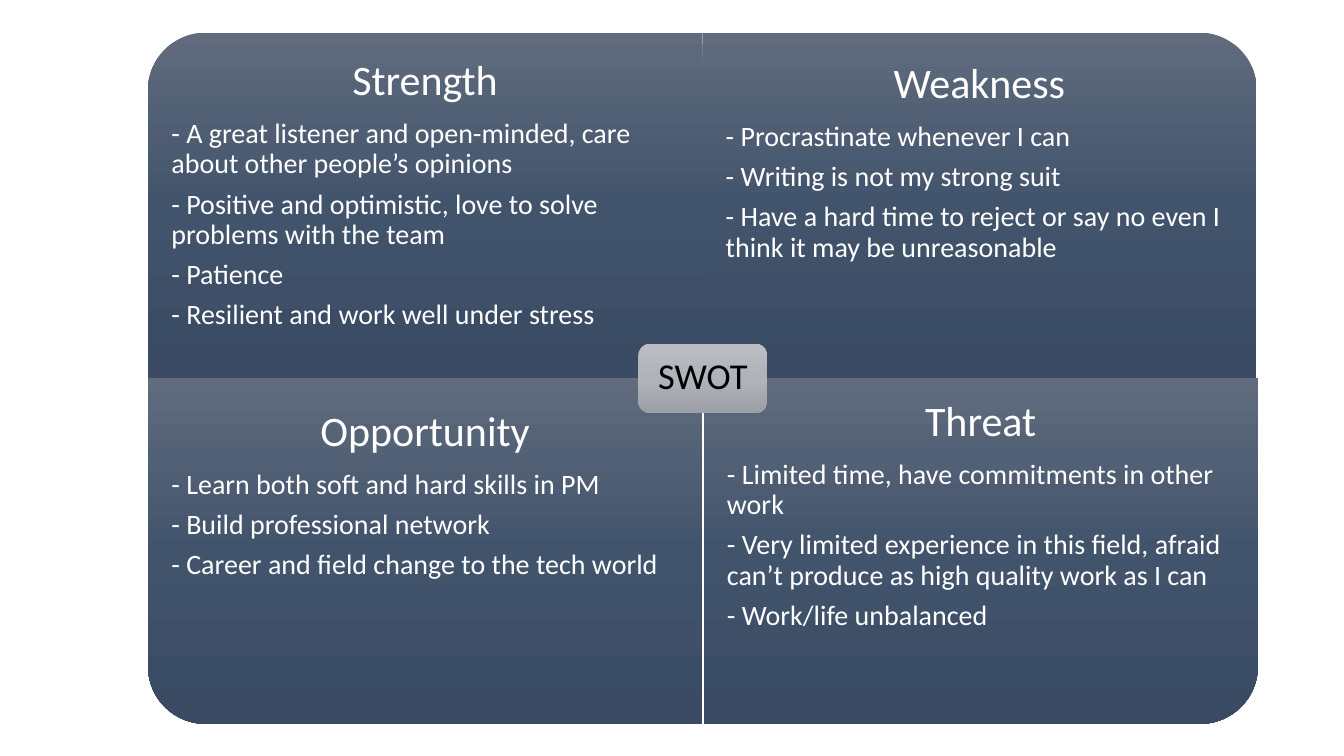
from lxml import etree
from pptx import Presentation
from pptx.dml.color import RGBColor
from pptx.enum.shapes import MSO_SHAPE
from pptx.enum.text import MSO_ANCHOR, PP_ALIGN
from pptx.oxml import parse_xml
from pptx.util import Cm, Pt

ROUND_ONE = MSO_SHAPE.ROUND_1_RECTANGLE
ROUND_ALL = MSO_SHAPE.ROUNDED_RECTANGLE
CENTER, LEFT = PP_ALIGN.CENTER, PP_ALIGN.LEFT
TOP, MIDDLE = MSO_ANCHOR.TOP, MSO_ANCHOR.MIDDLE
WHITE = RGBColor(0xFF, 0xFF, 0xFF)
BLACK = RGBColor(0, 0, 0)
NAVY = [RGBColor(0x60, 0x6B, 0x7D), RGBColor(0x42, 0x54, 0x6C), RGBColor(0x39, 0x4A, 0x62)]
SILVER = [RGBColor(0xBA, 0xBD, 0xC2), RGBColor(0xB0, 0xB3, 0xBA), RGBColor(0x9C, 0x9F, 0xA6)]
DRAWING = "http://schemas.openxmlformats.org/drawingml/2006/main"

PANEL_W, PANEL_H = 13.97, 8.71
GRID_LEFT, GRID_TOP = 3.73, 0.82
MID_X, MID_Y = GRID_LEFT + PANEL_W, GRID_TOP + PANEL_H
SEAM = 0.03
BADGE_W, BADGE_H = 3.25, 1.74

QUADRANTS = [
    ("Strength", GRID_LEFT, GRID_TOP, 270, 1.5, [
        "- A great listener and open-minded, care about other people’s opinions",
        "- Positive and optimistic, love to solve problems with the team",
        "- Patience",
        "- Resilient and work well under stress"]),
    ("Weakness", MID_X, GRID_TOP, 0, 1.58, [
        "- Procrastinate whenever I can",
        "- Writing is not my strong suit",
        "- Have a hard time to reject or say no even I think it may be unreasonable"]),
    ("Opportunity", GRID_LEFT, MID_Y, 180, 10.34, [
        "- Learn both soft and hard skills in PM",
        "- Build professional network",
        "- Career and field change to the tech world"]),
    ("Threat", MID_X + SEAM, MID_Y, 90, 10.09, [
        "- Limited time, have commitments in other work",
        "- Very limited experience in this field, afraid can’t produce as high quality work as I can",
        "- Work/life unbalanced"]),
]


def add_gradient_shape(preset, center_x, center_y, width, height, colors):
    shape = slide.shapes.add_shape(preset, Cm(center_x - width / 2), Cm(center_y - height / 2),
                                   Cm(width), Cm(height))
    shape.shadow.inherit = False
    shape.line.fill.background()
    shape.fill.solid()
    gradient = parse_xml(f'<a:gradFill xmlns:a="{DRAWING}" rotWithShape="0"><a:gsLst/>'
                         '<a:lin ang="5400000" scaled="0"/></a:gradFill>')
    for position, color in zip((0, 50000, 100000), colors):
        stop = etree.SubElement(gradient[0], f"{{{DRAWING}}}gs", pos=str(position))
        etree.SubElement(stop, f"{{{DRAWING}}}srgbClr", val=str(color))
    solid = shape._element.spPr.find(f"{{{DRAWING}}}solidFill")
    solid.getparent().replace(solid, gradient)
    return shape


def write_text(frame, lines, anchor, inset_x):
    frame.word_wrap = True
    frame.vertical_anchor = anchor
    frame.margin_left = frame.margin_right = Cm(inset_x)
    frame.margin_top = frame.margin_bottom = 0
    for index, (text, size, color, align) in enumerate(lines):
        paragraph = frame.add_paragraph() if index else frame.paragraphs[0]
        paragraph.alignment = align
        paragraph.line_spacing = 0.9
        paragraph.space_after = Pt(size * 0.35)
        run = paragraph.add_run()
        run.text = text
        run.font.name = "Calibri"
        run.font.size = Pt(size)
        run.font.color.rgb = color


prs = Presentation()
prs.slide_width, prs.slide_height = Cm(33.87), Cm(19.05)
slide = prs.slides.add_slide(prs.slide_layouts[6])

for heading, left, top, rotation, text_top, points in QUADRANTS:
    width, height = (PANEL_H, PANEL_W) if rotation in (90, 270) else (PANEL_W, PANEL_H)
    panel = add_gradient_shape(ROUND_ONE, left + PANEL_W / 2, top + PANEL_H / 2, width, height, NAVY)
    panel.rotation = rotation
    content = slide.shapes.add_textbox(Cm(left), Cm(text_top), Cm(PANEL_W), Cm(6.8))
    lines = [(heading, 30, WHITE, CENTER)] + [(point, 20, WHITE, LEFT) for point in points]
    write_text(content.text_frame, lines, TOP, 0.59)

badge = add_gradient_shape(ROUND_ALL, MID_X + SEAM / 2, MID_Y, BADGE_W, BADGE_H, SILVER)
write_text(badge.text_frame, [("SWOT", 26, BLACK, CENTER)], MIDDLE, 0.28)

prs.save("out.pptx")
